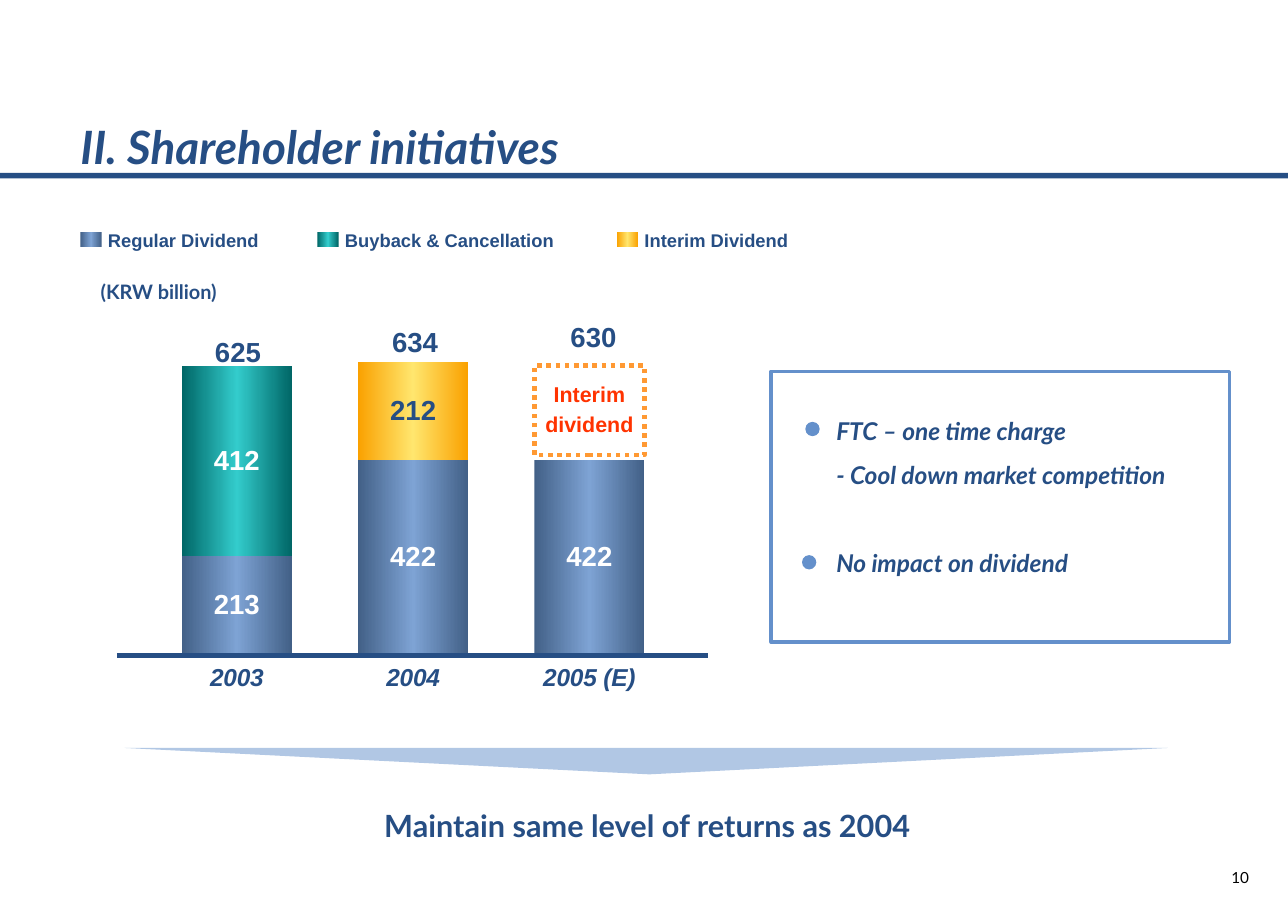
"""Build the shareholder initiatives slide on a grid of 100 columns and 100 rows."""
from copy import deepcopy

from pptx import Presentation, oxml, util as u
from pptx.chart.data import CategoryChartData
from pptx.dml.color import RGBColor
from pptx.enum import chart as c, dml, shapes, text
from pptx.oxml import ns

WIDTH, HEIGHT = u.Inches(11.69), u.Inches(8.27)
NAVY = RGBColor(0x26, 0x4E, 0x84)
BLUE = RGBColor(0x64, 0x90, 0xCB)
ORANGE = RGBColor(0xFF, 0x99, 0x33)
RED = RGBColor(0xFF, 0x33, 0x00)
WHITE = RGBColor(0xFF, 0xFF, 0xFF)
BLACK = RGBColor(0, 0, 0)
REGULAR = RGBColor(0x42, 0x60, 0x87), RGBColor(0x7E, 0xA3, 0xD4)
BUYBACK = RGBColor(0x00, 0x66, 0x66), RGBColor(0x33, 0xCC, 0xCC)
INTERIM = RGBColor(0xFA, 0xA1, 0x00), RGBColor(0xFF, 0xE6, 0x6E)
SERIES = [
    ("Regular Dividend", (213, 422, 422), REGULAR, WHITE, 6.24),
    ("Buyback & Cancellation", (412, None, None), BUYBACK, WHITE, 24.64),
    ("Interim Dividend", (None, 212, None), INTERIM, NAVY, 47.9),
]
TOTALS = [("625", 14.2, 36.6), ("634", 27.95, 35.5), ("630", 41.8, 34.9)]
BAR_WIDTH = 8.55
PLOT_SHARE = 0.824


def col(n):
    return round(WIDTH * n / 100)


def row(n):
    return round(HEIGHT * n / 100)


def box(x, y, w, h):
    return col(x), row(y), col(w), row(h)


def add_label(s, lines, place, size, color=NAVY, font="Arial", bold=True, italic=False,
              align=text.PP_ALIGN.LEFT, anchor=text.MSO_ANCHOR.MIDDLE):
    tf = s.shapes.add_textbox(*box(*place)).text_frame
    tf.margin_left = tf.margin_right = tf.margin_top = tf.margin_bottom = 0
    tf.word_wrap = True
    tf.vertical_anchor = anchor
    tf.text = lines
    for p in tf.paragraphs:
        p.alignment = align
        for r in p.runs:
            r.font.name, r.font.size = font, u.Pt(size)
            r.font.bold, r.font.italic = bold, italic
            r.font.color.rgb = color
    return tf


def add_figure(s, kind, place, fill=None, line=None, width=0):
    sp = s.shapes.add_shape(kind, *box(*place))
    sp.shadow.inherit = False
    if fill is None:
        sp.fill.background()
    else:
        sp.fill.solid()
        sp.fill.fore_color.rgb = fill
    if line is None:
        sp.line.fill.background()
    else:
        sp.line.color.rgb = line
        sp.line.width = u.Pt(width)
    return sp


def shade(fill, colors):
    edge, middle = colors
    fill.gradient()
    fill.gradient_angle = 0
    gs = fill.gradient_stops[0]._gs
    gs.addnext(deepcopy(gs))
    for stop, position, color in zip(fill.gradient_stops, (0, 0.5, 1), (edge, middle, edge)):
        stop.position = position
        stop.color.rgb = color


def add_legend(s):
    for name, _, colors, _, x in SERIES:
        swatch = add_figure(s, shapes.MSO_SHAPE.RECTANGLE, (x, 25.51, 1.65, 1.57))
        shade(swatch.fill, colors)
        add_label(s, name, (x + 2.14, 24.34, 20, 4), 12)


def set_plot_area(chart):
    area = chart._chartSpace.chart.plotArea
    for old in area.findall(ns.qn("c:layout")):
        area.remove(old)
    area.insert(0, oxml.parse_xml(
        f'<c:layout {ns.nsdecls("c")}><c:manualLayout><c:layoutTarget val="inner"/>'
        '<c:xMode val="edge"/><c:yMode val="edge"/><c:x val="0"/><c:y val="0"/>'
        f'<c:w val="1"/><c:h val="{PLOT_SHARE}"/></c:manualLayout></c:layout>'))


def add_dividend_chart(s):
    data = CategoryChartData()
    data.categories = ["2003", "2004", "2005 (E)"]
    for name, values, *_ in SERIES:
        data.add_series(name, values)
    chart = s.shapes.add_chart(c.XL_CHART_TYPE.COLUMN_STACKED,
                               *box(11.55, 38.94, 41.06, 39.9), data).chart
    chart.has_legend = chart.has_title = False
    chart.font.name, chart.font.size, chart.font.bold = "Arial", u.Pt(18), True
    set_plot_area(chart)
    axis = chart.value_axis
    axis.minimum_scale, axis.maximum_scale = 0, 650
    axis.has_major_gridlines = axis.visible = False
    axis = chart.category_axis
    axis.format.line.fill.background()
    axis.major_tick_mark = c.XL_TICK_MARK.OUTSIDE
    axis.tick_labels.offset = 300
    font = axis.tick_labels.font
    font.name, font.size, font.bold, font.italic = "Arial", u.Pt(16), True, True
    font.color.rgb = NAVY
    plot = chart.plots[0]
    plot.gap_width, plot.overlap, plot.vary_by_categories = 60, 100, False
    for series, (_, _, colors, label_color, _) in zip(plot.series, SERIES):
        shade(series.format.fill, colors)
        labels = series.data_labels
        labels.show_value = True
        labels.position = c.XL_LABEL_POSITION.CENTER
        labels.font.name, labels.font.size, labels.font.bold = "Arial", u.Pt(18), True
        labels.font.color.rgb = label_color


def add_baseline(s):
    line = s.shapes.add_connector(shapes.MSO_CONNECTOR.STRAIGHT,
                                  col(9.07), row(71.95), col(55), row(71.95))
    line.line.color.rgb = NAVY
    line.line.width = u.Pt(3)
    line._element.spPr.append(oxml.parse_xml(f'<a:effectLst {ns.nsdecls("a")}/>'))


def add_expected_interim(s):
    sp = add_figure(s, shapes.MSO_SHAPE.RECTANGLE, (41.49, 40.15, BAR_WIDTH, 9.8),
                    line=ORANGE, width=3)
    sp.line.dash_style = dml.MSO_LINE.ROUND_DOT
    tf = add_label(s, "Interim\ndividend", (41.49, 40.9, BAR_WIDTH, 8), 14, RED,
                   align=text.PP_ALIGN.CENTER)
    tf.paragraphs[1].space_before = u.Pt(2.5)


def add_comments(s):
    add_figure(s, shapes.MSO_SHAPE.RECTANGLE, (59.88, 40.75, 35.59, 29.75), line=BLUE, width=2.25)
    for x, y in ((62.53, 46.31), (62.27, 60.94)):
        add_figure(s, shapes.MSO_SHAPE.OVAL, (x, y, 1.11, 1.57), BLUE)
    tf = add_label(s, "FTC – one time charge\n- Cool down market competition\nNo impact on dividend",
                   (64.93, 44.07, 29, 22), 16, font="Lato", italic=True,
                   anchor=text.MSO_ANCHOR.TOP)
    for p in tf.paragraphs:
        p.line_spacing = 1.5
    tf.paragraphs[2].space_before = u.Pt(28.8)


def add_conclusion(s):
    sp = add_figure(s, shapes.MSO_SHAPE.ISOSCELES_TRIANGLE, (9.67, 82.1, 81, 2.9), BLUE)
    sp.adjustments[0] = 0.497
    sp.rotation = 180
    color = sp._element.spPr.find(".//" + ns.qn("a:srgbClr"))
    color.append(oxml.parse_xml(f'<a:alpha {ns.nsdecls("a")} val="50000"/>'))
    add_label(s, "Maintain same level of returns as 2004", (10.86, 88.63, 78.79, 4), 20,
              font="Lato", align=text.PP_ALIGN.CENTER)


def main():
    prs = Presentation()
    prs.slide_width, prs.slide_height = WIDTH, HEIGHT
    s = prs.slides.add_slide(prs.slide_layouts[6])
    add_figure(s, shapes.MSO_SHAPE.RECTANGLE, (0, 18.98, 100, 0.6), NAVY)
    add_label(s, "II. Shareholder initiatives", (6.24, 14.02, 88.5, 4), 30,
              font="Lato", italic=True)
    add_legend(s)
    add_label(s, "(KRW billion)", (5.05, 30.04, 14.54, 4), 13, font="Lato",
              align=text.PP_ALIGN.CENTER)
    add_dividend_chart(s)
    add_baseline(s)
    for total, x, y in TOTALS:
        add_label(s, total, (x, y, BAR_WIDTH, 4), 18, align=text.PP_ALIGN.CENTER)
    add_expected_interim(s)
    add_comments(s)
    add_conclusion(s)
    add_label(s, "10", (92.99, 94.3, 6.59, 4), 10, BLACK, "Lato", bold=False,
              align=text.PP_ALIGN.CENTER)
    prs.save("out.pptx")


if __name__ == "__main__":
    main()
